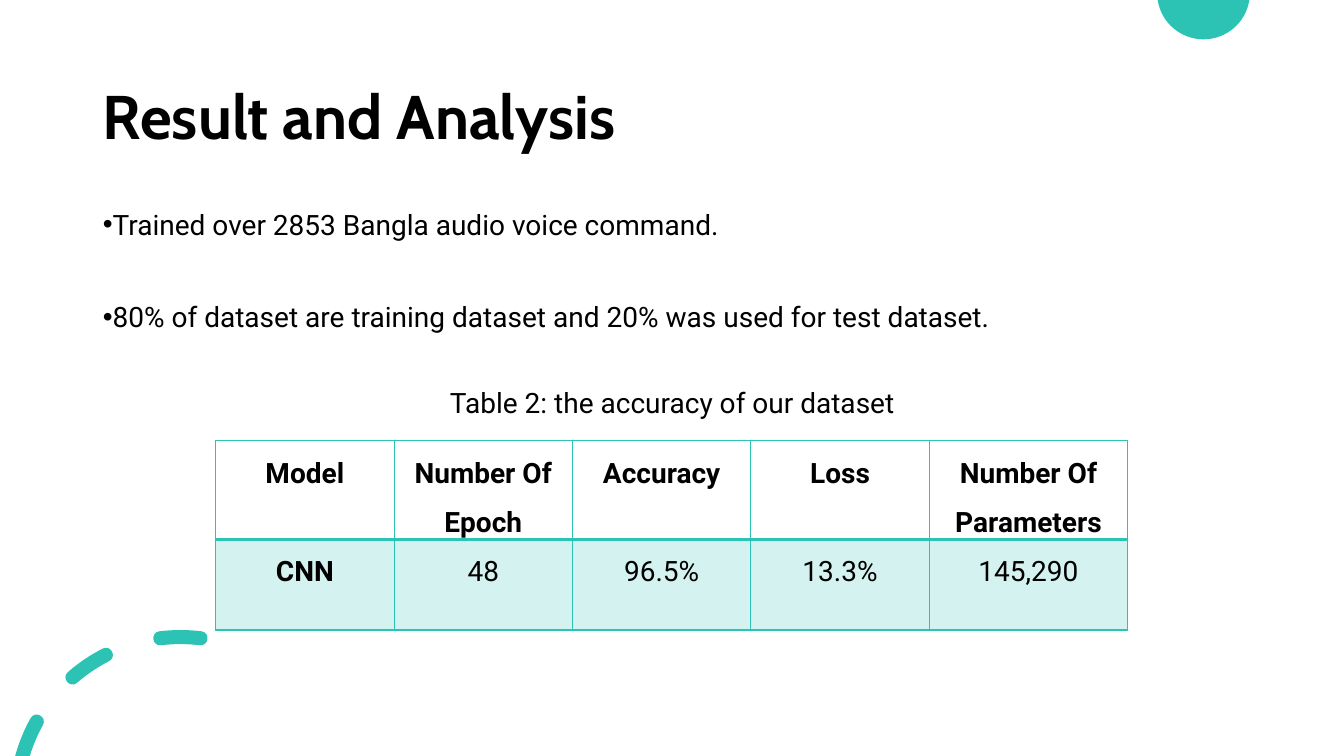
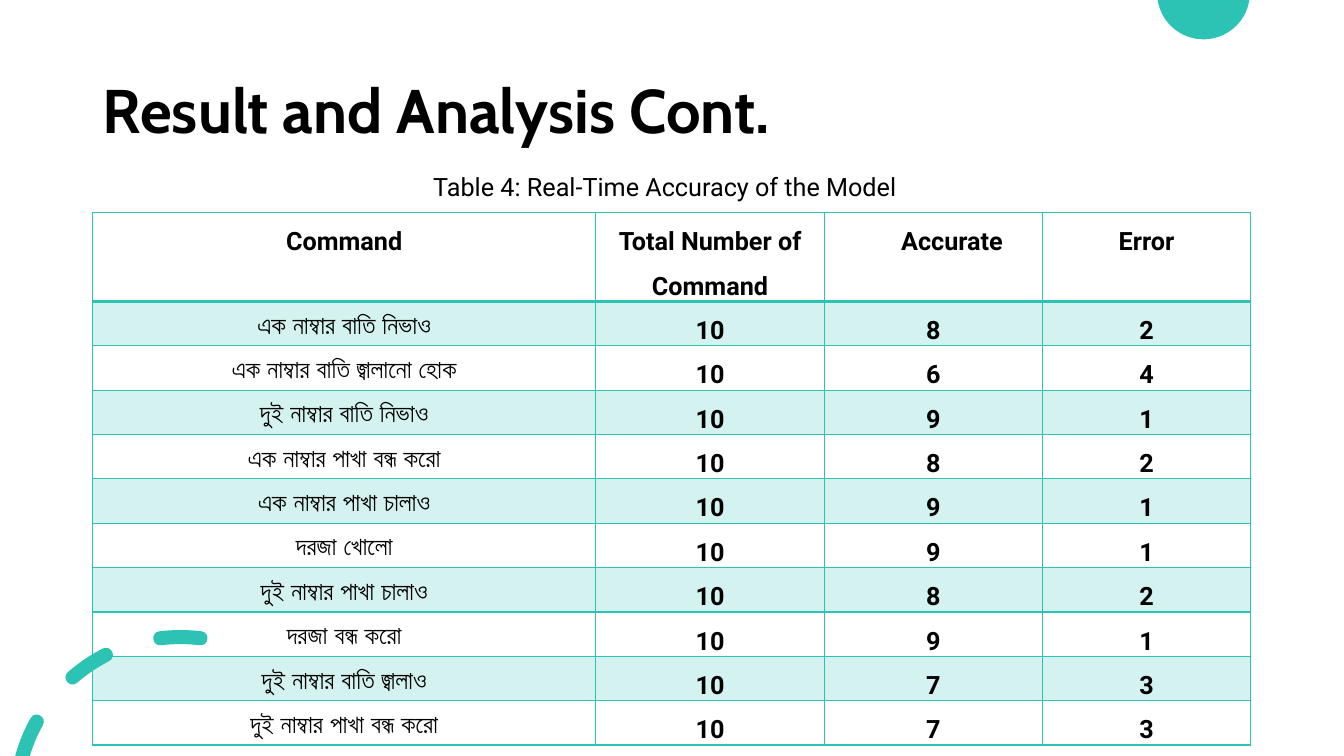
import math

from lxml import etree
from pptx import Presentation
from pptx import util as u
from pptx.dml.color import RGBColor
from pptx.enum import text
from pptx.oxml import ns

PX = 9144  # EMU in one px, 100 px to the inch
COLORS = {"teal": "2CC3B4", "ink": "000000"}
HEAD_FONT, TEXT_FONT = "Cabin", "Roboto"
SLIDE_SIZE = u.Emu(12192000), u.Emu(6858000)
HEIGHT = 750
CONTENT_LEFT, CONTENT_WIDTH = 92, 1150

ACCURACY = [
    ["Model", "Number Of Epoch", "Accuracy", "Loss", "Number Of Parameters"],
    ["CNN", "48", "96.5%", "13.3%", "145,290"],
]
COMMANDS = [
    ("এক নাম্বার বাতি নিভাও", 8),
    ("এক নাম্বার বাতি জ্বালানো হোক", 6),
    ("দুই নাম্বার বাতি নিভাও", 9),
    ("এক নাম্বার পাখা বন্ধ করো", 8),
    ("এক নাম্বার পাখা চালাও", 9),
    ("দরজা খোলো", 9),
    ("দুই নাম্বার পাখা চালাও", 8),
    ("দরজা বন্ধ করো", 9),
    ("দুই নাম্বার বাতি জ্বালাও", 7),
    ("দুই নাম্বার পাখা বন্ধ করো", 7),
]
TRIALS = 10


def px(value):
    return u.Emu(round(value * PX))


def color(name):
    return RGBColor.from_string(COLORS[name])


def sub(parent, tag, **attributes):
    return etree.SubElement(parent, ns.qn(tag), attributes)


def place(shape, left, top, width, height):
    shape.left, shape.top = px(left), px(top)
    shape.width, shape.height = px(width), px(height)


def style_para(para, size, font=TEXT_FONT, bold=False, align=text.PP_ALIGN.LEFT,
               spacing=1.0, before=0, after=0):
    para.alignment = align
    para.line_spacing = spacing
    para.space_before, para.space_after = u.Pt(before), u.Pt(after)
    for span in para.runs:
        span.font.name, span.font.size = font, u.Pt(size)
        span.font.bold = bold
        span.font.color.rgb = color("ink")


# Shared decoration: a contour is a list of arcs, each a Bezier of four points
def polar(center, radius, degrees):
    angle = math.radians(degrees)
    return center[0] + radius * math.cos(angle), center[1] - radius * math.sin(angle)


def arc(center, radius, start, end):
    """Bezier for an arc, angles counter-clockwise from the right."""
    reach = radius * 4 / 3 * math.tan(math.radians(end - start) / 4)
    first, last = polar(center, radius, start), polar(center, radius, end)
    return [first, polar(first, reach, start + 90), polar(last, -reach, end + 90), last]


def dash(center, radius, half, start, end):
    """Curved stroke with round ends; without an end it runs off the bottom edge."""
    outer, inner = radius + half, radius - half
    cap = arc(polar(center, radius, start), half, start + 180, start + 360)
    if end is None:
        drop = HEIGHT - center[1]
        ends = [180 + math.degrees(math.asin(drop / size)) for size in (outer, inner)]
        return [arc(center, outer, start, ends[0]),
                arc(center, inner, ends[1], start), cap]
    return [arc(center, outer, start, end),
            arc(polar(center, radius, end), half, end, end + 180),
            arc(center, inner, end, start), cap]


def add_outline(page, contours):
    """One filled shape, built from corner points and then rounded."""
    builder, curves = None, {}
    for contour in contours:
        corners = []
        for curve in contour:
            points = [(px(x), px(y)) for x, y in curve]
            corners += [point for point in (points[0], points[3])
                        if point not in corners[-1:]]
            curves[points[0], points[3]] = points[1:]
        if builder is None:
            builder = page.shapes.build_freeform(*corners[0], scale=1.0)
        else:
            builder.move_to(*corners[0])
        builder.add_line_segments(corners[1:], close=True)
    shape = builder.convert_to_shape()
    shape.shadow.inherit = False
    shape.fill.solid()
    shape.fill.fore_color.rgb = color("teal")
    shape.line.fill.background()
    round_corners(shape, curves)
    return shape


def round_corners(shape, curves):
    """Swap each straight segment that has a curve for that curve."""
    outline = shape.element.find(".//" + ns.qn("a:path"))
    here = None
    for step in list(outline):
        point = step.find(ns.qn("a:pt"))
        if point is None:
            continue
        there = shape.left + int(point.get("x")), shape.top + int(point.get("y"))
        if step.tag == ns.qn("a:lnTo") and (here, there) in curves:
            bend = sub(outline, "a:cubicBezTo")
            for x, y in curves[here, there]:
                sub(bend, "a:pt", x=str(x - shape.left), y=str(y - shape.top))
            outline.replace(step, bend)
        here = there


def decorate_master(deck, page):
    """Draw the ball and the dashed ring, then move them to the master."""
    center, radius = (1194, -7), 46
    tilt = math.degrees(math.asin(7 / radius))
    ball = [[arc(center, radius, 180 + tilt, 270), arc(center, radius, 270, 360 - tilt)]]
    ring = [dash((179, 795), 163, 7, start, end)
            for start, end in ((83, 97), (117, 131), (151, None))]
    for contours in (ball, ring):
        shape = add_outline(page, contours)
        deck.slide_master.shapes.element.append(shape.element)


# Text
def set_title(page, words, spacing, after=0):
    title = page.shapes.title
    place(title, CONTENT_LEFT, 40, CONTENT_WIDTH, 145)
    frame = title.text_frame
    frame.text = words
    frame.auto_size = text.MSO_AUTO_SIZE.NONE
    frame.vertical_anchor = text.MSO_ANCHOR.MIDDLE
    style_para(frame.paragraphs[0], 44, HEAD_FONT, True, spacing=spacing, after=after)


def set_body(page, bullets, caption):
    body = page.placeholders[1]
    place(body, CONTENT_LEFT, 199, CONTENT_WIDTH, 422)
    frame = body.text_frame
    frame.text = "\n".join(bullets + [caption])
    frame.auto_size = text.MSO_AUTO_SIZE.NONE
    *items, last = frame.paragraphs
    for para in items:
        style_para(para, 20, align=text.PP_ALIGN.JUSTIFY, spacing=1.05, after=41)
        set_bullet(para, "•", -25)
    items[-1].space_after = u.Pt(36)
    style_para(last, 20, align=text.PP_ALIGN.CENTER, spacing=1.05, after=8)
    set_bullet(last, None, 0)


def set_bullet(para, mark, indent):
    props = para._p.get_or_add_pPr()
    props.set("marL", "0")
    props.set("indent", str(px(indent)))
    if mark:
        sub(props, "a:buFont", typeface="Arial")
        sub(props, "a:buChar", char=mark)
    else:
        sub(props, "a:buNone")


def add_caption(page, words, left, top, width, height):
    box = page.shapes.add_textbox(px(left), px(top), px(width), px(height))
    frame = box.text_frame
    frame.text = words
    frame.word_wrap = False
    style_para(frame.paragraphs[0], 18)


# Tables
def set_borders(cell, top, bottom):
    props = cell._tc.get_or_add_tcPr()
    widths = (("a:lnL", 1), ("a:lnR", 1), ("a:lnT", top), ("a:lnB", bottom))
    for position, (tag, points) in enumerate(widths):
        line = sub(props, tag, w=str(u.Pt(points)))
        sub(sub(line, "a:solidFill"), "a:srgbClr", val=COLORS["teal"])
        props.insert(position, line)


def fill_cell(cell, banded):
    if not banded:
        cell.fill.background()
        return
    cell.fill.solid()
    cell.fill.fore_color.rgb = color("teal")
    tint = cell._tc.tcPr.find(".//" + ns.qn("a:srgbClr"))
    sub(tint, "a:alpha", val="20000")


def add_data_table(page, rows, left, top, columns, heights, size, all_bold=False):
    frame = page.shapes.add_table(len(rows), len(columns), px(left), px(top),
                                  px(sum(columns)), px(sum(heights)))
    table = frame.table
    table.first_row = table.horz_banding = False
    for column, width in zip(table.columns, columns):
        column.width = px(width)
    for r, values in enumerate(rows):
        table.rows[r].height = px(heights[r])
        for c, value in enumerate(values):
            cell = table.cell(r, c)
            cell.margin_left = cell.margin_right = px(7)
            cell.margin_top = cell.margin_bottom = 0
            cell.text_frame.text = value
            style_para(cell.text_frame.paragraphs[0], size,
                       bold=all_bold or r == 0 or c == 0,
                       align=text.PP_ALIGN.CENTER, spacing=1.5, before=6, after=14)
            fill_cell(cell, r % 2 == 1)
            set_borders(cell, top=2 if r == 1 else 1, bottom=2 if r == 0 else 1)
    return table


# Slides
def build_result(page):
    set_title(page, "Result and Analysis", spacing=1.05, after=8)
    set_body(page, ["Trained over 2853 Bangla audio voice command.",
                    "80% of dataset are training dataset and 20% was used for test dataset."],
             "Table 2: the accuracy of our dataset")
    add_data_table(page, ACCURACY, 214, 437, [177] * 4 + [197], [90, 90], 20)


def build_commands(page):
    set_title(page, "Result and Analysis Cont.", spacing=0.9)
    rows = [["Command", "Total Number of Command", "Accurate", "Error"]]
    rows += [[command, str(TRIALS), str(hits), str(TRIALS - hits)]
             for command, hits in COMMANDS]
    table = add_data_table(page, rows, CONTENT_LEFT, 211, [499, 227, 216, 207],
                           [83] + [39] * len(COMMANDS), 18, all_bold=True)
    table.cell(0, 2).margin_left = px(44)
    add_caption(page, "Table 4: Real-Time Accuracy of the Model", 420, 165, 494, 40)


def main():
    deck = Presentation()
    deck.slide_width, deck.slide_height = SLIDE_SIZE
    result = deck.slides.add_slide(deck.slide_layouts[1])
    commands = deck.slides.add_slide(deck.slide_layouts[5])
    decorate_master(deck, result)
    build_result(result)
    build_commands(commands)
    deck.save("out.pptx")


if __name__ == "__main__":
    main()
